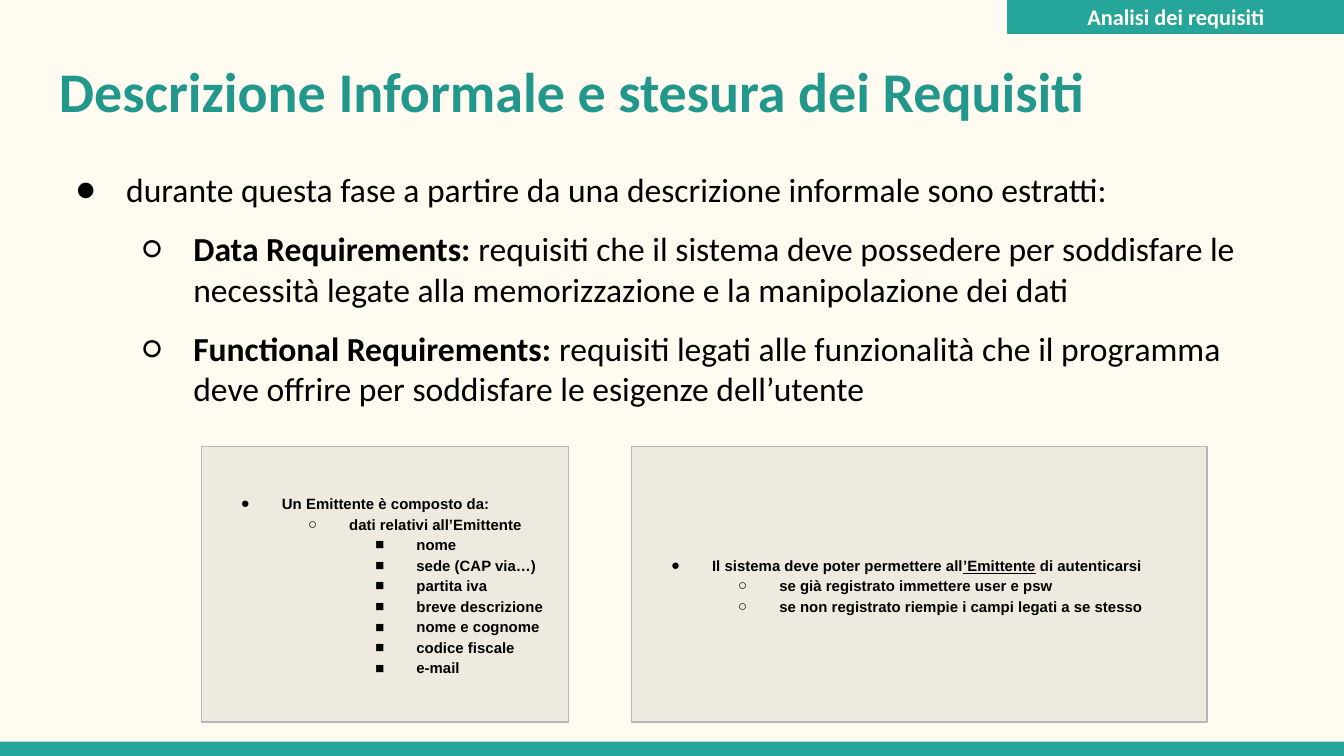
from lxml.etree import SubElement
from pptx import Presentation
from pptx.dml.color import RGBColor
from pptx.enum.shapes import MSO_SHAPE
from pptx.enum.text import MSO_ANCHOR, PP_ALIGN
from pptx.oxml.ns import qn
from pptx.util import Pt

TEAL, CREAM, BLACK = "26A69A", "FFFBF0", "000000"
TITLE_TEAL, PANEL_FILL, PANEL_LINE = "22988D", "EEEAE0", "B7B7B7"
BULLETS = "●○■"
LEVEL_INDENT = 36
MARGIN, CONTENT_WIDTH = 24.5, 671
PANEL_TOP, PANEL_HEIGHT = 239.3, 147.6

heading = [(0, [("Descrizione Informale e stesura dei Requisiti", "b")])]
section = [(0, [("Analisi dei requisiti", "b")])]

requirements = [
    (0, [("durante questa fase a partire da una descrizione informale sono estratti:", "")]),
    (1, [("Data Requirements: ", "b"),
         ("requisiti che il sistema deve possedere per soddisfare le necessità "
          "legate alla memorizzazione e la manipolazione dei dati", "")]),
    (1, [("Functional Requirements: ", "b"),
         ("requisiti legati alle funzionalità che il programma deve offrire "
          "per soddisfare le esigenze dell’utente", "")]),
]

issuer_fields = ["nome", "sede (CAP via…)", "partita iva", "breve descrizione",
                 "nome e cognome", "codice fiscale", "e-mail"]
data_example = [
    (0, [("Un Emittente è composto da:", "b")]),
    (1, [("dati relativi all’Emittente", "b")]),
] + [(2, [(field, "b")]) for field in issuer_fields]

functional_example = [
    (0, [("Il sistema deve poter permettere all", "b"), ("’Emittente", "bu"),
         (" di autenticarsi", "b")]),
    (1, [("se già registrato immettere user e psw", "b")]),
    (1, [("se non registrato riempie i campi legati a se stesso", "b")]),
]

panels = [(108, 196.6, data_example), (338.4, 308.2, functional_example)]


def rgb(value):
    return RGBColor.from_string(value)


def add_bullet(paragraph, level, hanging, font):
    paragraph.level = level
    properties = paragraph._p.get_or_add_pPr()
    properties.set("marL", str(Pt(LEVEL_INDENT * (level + 1))))
    properties.set("indent", str(-Pt(hanging)))
    SubElement(SubElement(properties, qn("a:buClr")), qn("a:srgbClr"), val=BLACK)
    SubElement(properties, qn("a:buFont"), typeface=font)
    SubElement(properties, qn("a:buChar"), char=BULLETS[level])


def write(shape, content, font, size, color, hanging=None, align=PP_ALIGN.LEFT,
          anchor=MSO_ANCHOR.TOP, line_spacing=1.0, sub_space=0):
    frame = shape.text_frame
    frame.word_wrap = True
    frame.vertical_anchor = anchor
    frame.margin_left = frame.margin_right = Pt(7.2)
    frame.margin_top = frame.margin_bottom = Pt(7.2)
    for number, (level, runs) in enumerate(content):
        paragraph = frame.add_paragraph() if number else frame.paragraphs[0]
        paragraph.alignment = align
        paragraph.line_spacing = line_spacing
        paragraph.space_before = Pt(sub_space if level else 0)
        if hanging:
            add_bullet(paragraph, level, hanging, font)
        for text, style in runs:
            run = paragraph.add_run()
            run.text = text
            run.font.name = font
            run.font.size = Pt(size)
            run.font.color.rgb = rgb(color)
            run.font.bold = "b" in style
            run.font.underline = "u" in style


def add_box(slide, left, top, width, height, fill, line=None):
    box = slide.shapes.add_shape(MSO_SHAPE.RECTANGLE, Pt(left), Pt(top), Pt(width), Pt(height))
    box.shadow.inherit = False
    box.fill.solid()
    box.fill.fore_color.rgb = rgb(fill)
    if line:
        box.line.color.rgb = rgb(line)
        box.line.width = Pt(0.75)
    else:
        box.line.fill.background()
    return box


def add_text(slide, top, height):
    return slide.shapes.add_textbox(Pt(MARGIN), Pt(top), Pt(CONTENT_WIDTH), Pt(height))


def main():
    deck = Presentation()
    deck.slide_width, deck.slide_height = Pt(720), Pt(405)
    slide = deck.slides.add_slide(deck.slide_layouts[6])
    slide.background.fill.solid()
    slide.background.fill.fore_color.rgb = rgb(CREAM)

    add_box(slide, 0, 397.4, 720, 7.6, TEAL)
    write(add_text(slide, 83.5, 143.3), requirements, "Calibri", 18, BLACK,
          hanging=27, sub_space=10)
    write(add_text(slide, 23, 48.2), heading, "Calibri", 30, TITLE_TEAL)
    write(add_box(slide, 540, 0, 180, 18, TEAL, TEAL), section, "Calibri", 12, CREAM,
          align=PP_ALIGN.CENTER, anchor=MSO_ANCHOR.MIDDLE)
    for left, width, example in panels:
        panel = add_box(slide, left, PANEL_TOP, width, PANEL_HEIGHT, PANEL_FILL, PANEL_LINE)
        write(panel, example, "Arial", 8, BLACK, hanging=22,
              anchor=MSO_ANCHOR.MIDDLE, line_spacing=1.15)

    deck.save("out.pptx")


if __name__ == "__main__":
    main()
